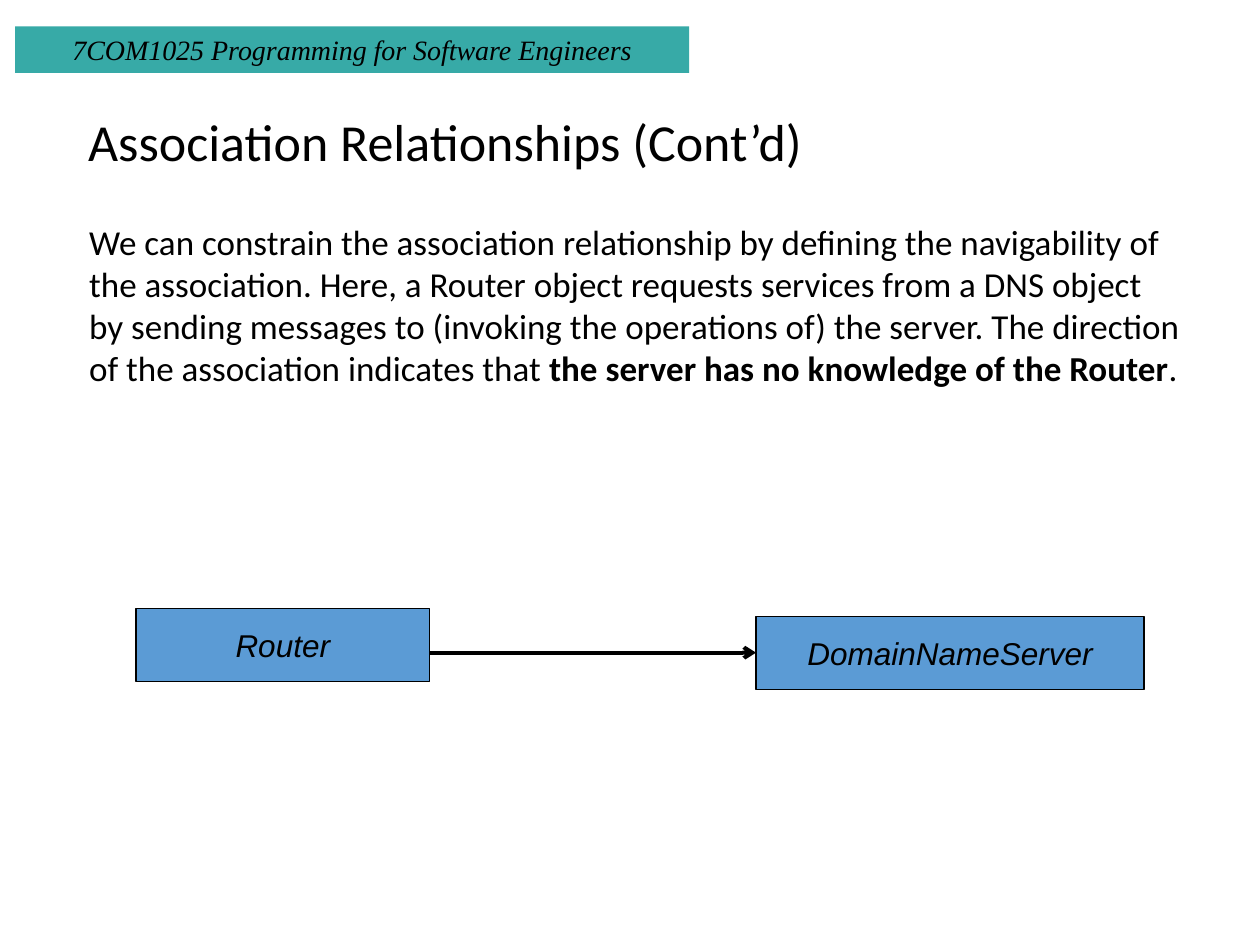
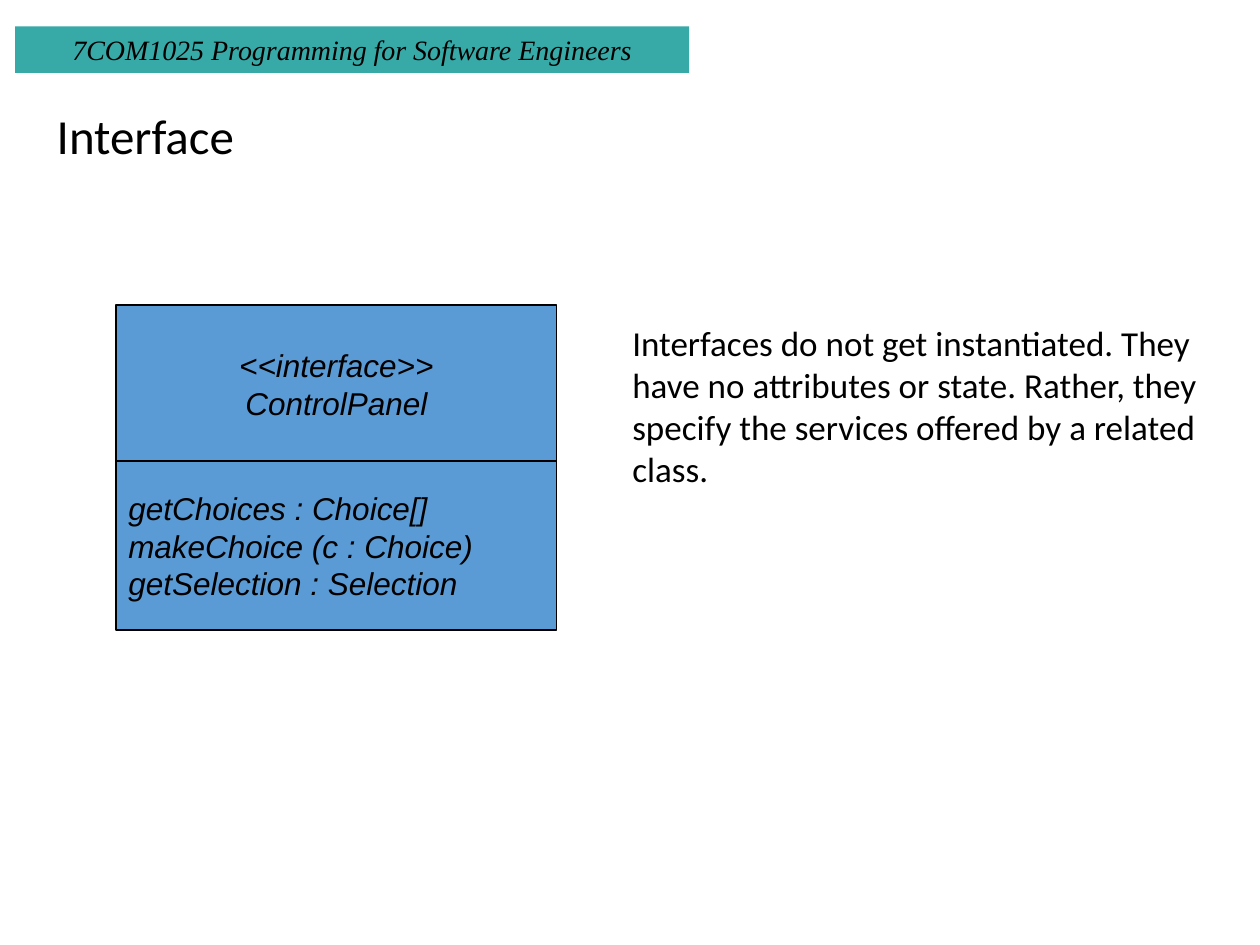
from lxml.etree import SubElement
from pptx import Presentation
from pptx.dml.color import RGBColor
from pptx.enum.shapes import MSO_CONNECTOR, MSO_SHAPE
from pptx.enum.text import MSO_ANCHOR, PP_ALIGN
from pptx.oxml.ns import qn
from pptx.util import Inches, Pt

BLACK, BLUE, TEAL = "000000", "5B9BD5", "37AAA7"
TITLE_ONLY = 5

COURSE = "7COM1025 Programming for Software Engineers"
COURSE_BAND = (0.12, 0.21, 5.35, 0.37)

# Boxes are (left, top, width, height) in inches.
ASSOCIATION = {
    "title": ("Association Relationships (Cont’d)", (0.6, 0.86, 8.83, 0.58), 29.7),
    "explanation": (
        [("We can constrain the association relationship by defining the "
          "navigability of the association. Here, a Router object requests "
          "services from a DNS object by sending messages to (invoking the "
          "operations of) the server. The direction of the association "
          "indicates that ", False),
         ("the server has no knowledge of the Router", True),
         (".", False)],
        (0.61, 1.7, 8.87, 1.45)),
    "classes": [
        ("Router", (1.08, 4.83, 2.33, 0.58), PP_ALIGN.CENTER),
        ("DomainNameServer", (6, 4.89, 3.08, 0.58), PP_ALIGN.CENTER),
    ],
}
INTERFACE = {
    "title": ("Interface", (0.35, 0.81, 8.58, 0.58), 28),
    "explanation": (
        [("Interfaces do not get instantiated. They have no attributes or "
          "state. Rather, they specify the services offered by a related "
          "class.", False)],
        (4.92, 2.5, 4.83, 1.45)),
    "classes": [
        ("<<interface>>\nControlPanel", (0.92, 2.42, 3.5, 1.25), PP_ALIGN.CENTER),
        ("getChoices : Choice[]\nmakeChoice (c : Choice)\ngetSelection : Selection",
         (0.92, 3.66, 3.5, 1.34), PP_ALIGN.LEFT),
    ],
}


def color(hex_value):
    return RGBColor.from_string(hex_value)


def inches(box):
    return [Inches(length) for length in box]


def style(frame, font_name, size, align, italic=False):
    for paragraph in frame.paragraphs:
        paragraph.alignment = align
        for run in paragraph.runs:
            run.font.name = font_name
            run.font.size = Pt(size)
            run.font.italic = italic
            run.font.color.rgb = color(BLACK)


def add_panel(slide, text, box, fill, font_name, size, align, outlined):
    panel = slide.shapes.add_shape(MSO_SHAPE.RECTANGLE, *inches(box))
    panel.shadow.inherit = False
    panel.fill.solid()
    panel.fill.fore_color.rgb = color(fill)
    if outlined:
        panel.line.color.rgb = color(BLACK)
        panel.line.width = Pt(0.75)
    else:
        panel.line.fill.background()
    frame = panel.text_frame
    frame.text = text
    frame.word_wrap = not outlined
    frame.vertical_anchor = MSO_ANCHOR.MIDDLE
    style(frame, font_name, size, align, italic=True)
    return panel


def add_title(slide, text, box, size):
    title = slide.shapes.title
    title.left, title.top, title.width, title.height = inches(box)
    frame = title.text_frame
    frame.text = text
    frame.vertical_anchor = MSO_ANCHOR.MIDDLE
    frame.paragraphs[0].line_spacing = 0.9
    style(frame, "Calibri", size, PP_ALIGN.LEFT)


def add_explanation(slide, phrases, box):
    frame = slide.shapes.add_textbox(*inches(box)).text_frame
    frame.word_wrap = True
    for text, bold in phrases:
        run = frame.paragraphs[0].add_run()
        run.text = text
        run.font.bold = bold
    style(frame, "Calibri", 20, PP_ALIGN.LEFT)


def add_navigability(slide, source, target):
    """Draw a level arrow from the source's right edge to the target's left side."""
    level = target.top + target.height // 2
    arrow = slide.shapes.add_connector(
        MSO_CONNECTOR.STRAIGHT, source.left + source.width, level, target.left, level)
    arrow.end_connect(target, 1)
    arrow.line.color.rgb = color(BLACK)
    arrow.line.width = Pt(2.25)
    SubElement(arrow.line._get_or_add_ln(), qn("a:tailEnd"), type="arrow")
    SubElement(arrow._element.spPr, qn("a:effectLst"))


def add_class_slide(deck, content):
    """Add a slide with its title, explanation and class boxes; return the boxes."""
    slide = deck.slides.add_slide(deck.slide_layouts[TITLE_ONLY])
    add_title(slide, *content["title"])
    add_explanation(slide, *content["explanation"])
    classes = [add_panel(slide, text, box, BLUE, "Arial", 18, align, outlined=True)
               for text, box, align in content["classes"]]
    add_panel(slide, COURSE, COURSE_BAND, TEAL, "Times New Roman", 16,
              PP_ALIGN.CENTER, outlined=False)
    return slide, classes


def main():
    deck = Presentation()
    deck.slide_width, deck.slide_height = Inches(10), Inches(7.5)
    slide, (router, server) = add_class_slide(deck, ASSOCIATION)
    add_navigability(slide, router, server)
    add_class_slide(deck, INTERFACE)
    deck.save("out.pptx")


if __name__ == "__main__":
    main()
